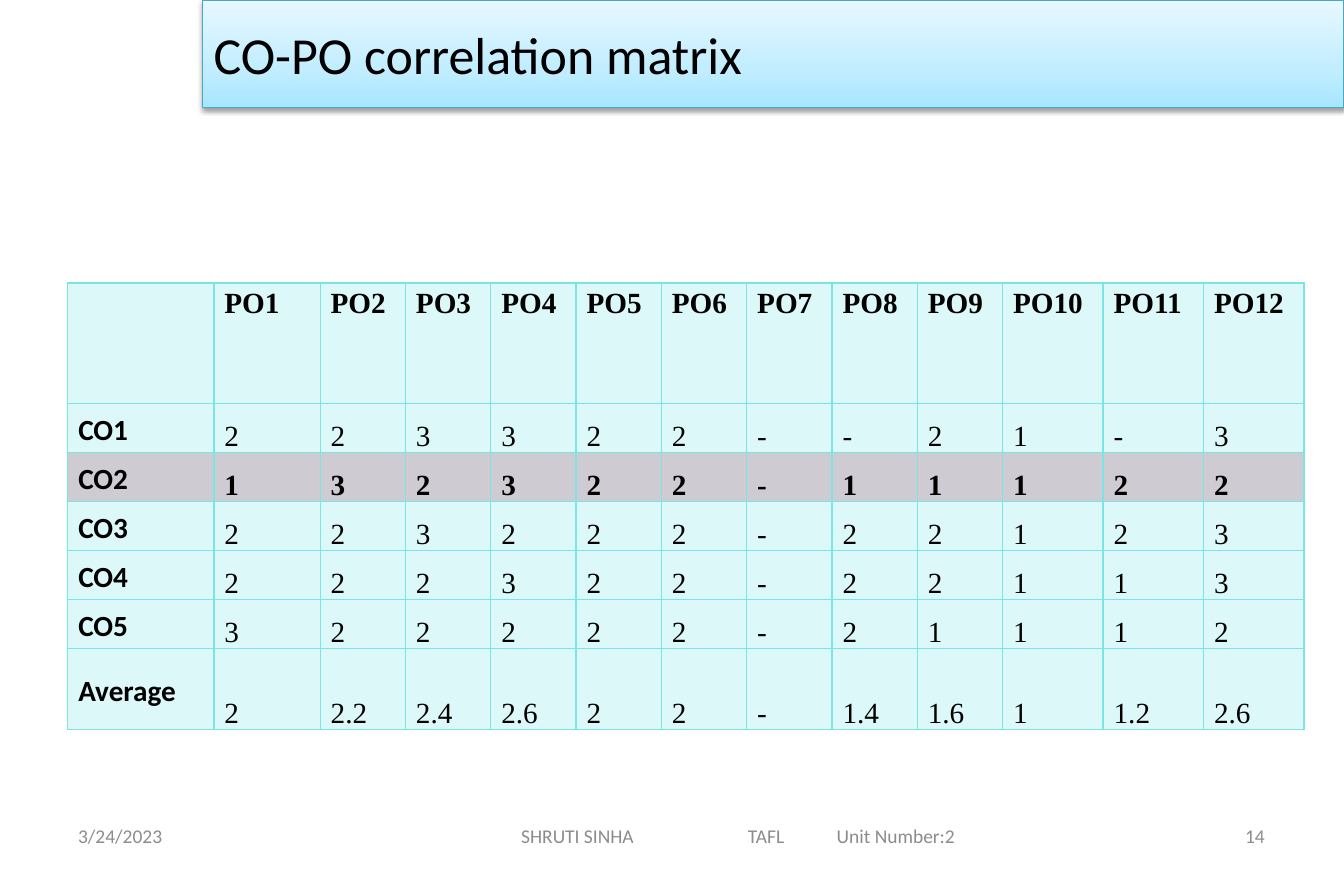
from dataclasses import dataclass

from lxml.etree import SubElement
from pptx import Presentation
from pptx.dml.color import RGBColor
from pptx.enum.shapes import MSO_SHAPE
from pptx.enum.text import MSO_ANCHOR as Anchor, PP_ALIGN as Align
from pptx.oxml.ns import qn
from pptx.util import Inches, Pt


@dataclass(frozen=True)
class Theme:
    sans: str = "Calibri"
    serif: str = "Times New Roman"
    black: str = "000000"
    grey: str = "8C8C8C"
    cell: str = "7BE5E5"
    highlight: str = "403152"
    banner_line: str = "46AAC5"
    banner_stops: tuple = ((0, "A7E6FF"), (35, "C1EDFF"), (100, "E7F8FF"))
    title_size: int = 32
    table_size: int = 18
    footer_size: int = 12


THEME = Theme()

HEADERS = [""] + [f"PO{n}" for n in range(1, 13)]
MATRIX = [
    ("CO1", "2 2 3 3 2 2 - - 2 1 - 3"),
    ("CO2", "1 3 2 3 2 2 - 1 1 1 2 2"),
    ("CO3", "2 2 3 2 2 2 - 2 2 1 2 3"),
    ("CO4", "2 2 2 3 2 2 - 2 2 1 1 3"),
    ("CO5", "3 2 2 2 2 2 - 2 1 1 1 2"),
    ("Average", "2 2.2 2.4 2.6 2 2 - 1.4 1.6 1 1.2 2.6"),
]
COL_WIDTHS = [1.25, 0.91] + [0.73] * 8 + [0.86] * 3
ROW_HEIGHTS = [1.03] + [0.42] * 5 + [0.69]


def add_run(p, text, size, color, font=THEME.sans, bold=False):
    r = p.add_run()
    r.text = text
    r.font.name = font
    r.font.size = Pt(size)
    r.font.bold = bold
    r.font.color.rgb = RGBColor.from_string(color)


def add_color(parent, color, alpha=None):
    clr = SubElement(parent, qn("a:srgbClr"), val=color)
    if alpha is not None:
        SubElement(clr, qn("a:alpha"), val=str(alpha * 1000))


def add_banner(s, x, y, w, h, title):
    sp = s.shapes.add_shape(MSO_SHAPE.RECTANGLE, Inches(x), Inches(y), Inches(w), Inches(h))
    sp.shadow.inherit = False
    sp.fill.gradient()
    sp.fill.gradient_angle = 90
    spPr = sp._element.spPr
    stops = spPr.find(".//" + qn("a:gsLst"))
    for stop in list(stops):
        stops.remove(stop)
    for pos, color in THEME.banner_stops:
        add_color(SubElement(stops, qn("a:gs"), pos=str(pos * 1000)), color)
    sp.line.color.rgb = RGBColor.from_string(THEME.banner_line)
    sp.line.width = Pt(0.75)
    shadow = SubElement(spPr.find(qn("a:effectLst")), qn("a:outerShdw"), blurRad=str(Pt(3.1)),
                        dist=str(Pt(1.6)), dir="5400000", rotWithShape="0")
    add_color(shadow, THEME.black, 38)
    tf = sp.text_frame
    tf.word_wrap = True
    tf.vertical_anchor = Anchor.MIDDLE
    p = tf.paragraphs[0]
    p.alignment = Align.LEFT
    add_run(p, title, THEME.title_size, THEME.black)


def style_cell(cell, color):
    tcPr = cell._tc.get_or_add_tcPr()
    for side in ("lnL", "lnR", "lnT", "lnB"):
        ln = SubElement(tcPr, qn(f"a:{side}"), w=str(Pt(1)))
        add_color(SubElement(ln, qn("a:solidFill")), THEME.cell)
    add_color(SubElement(tcPr, qn("a:solidFill")), color, 25)
    cell.margin_left = cell.margin_right = Inches(0.09)
    cell.margin_top = cell.margin_bottom = 0


def add_matrix(s, x, y, w, h):
    rows = [HEADERS] + [[label] + values.split() for label, values in MATRIX]
    table = s.shapes.add_table(len(rows), len(HEADERS), Inches(x), Inches(y),
                               Inches(w), Inches(h)).table
    table.first_row = table.horz_banding = False
    for col, width in zip(table.columns, COL_WIDTHS):
        col.width = Inches(width)
    for row, height in zip(table.rows, ROW_HEIGHTS):
        row.height = Inches(height)
    for i, values in enumerate(rows):
        highlighted = values[0] == "CO2"
        for j, text in enumerate(values):
            cell = table.cell(i, j)
            style_cell(cell, THEME.highlight if highlighted else THEME.cell)
            if not text:
                continue
            p = cell.text_frame.paragraphs[0]
            p.line_spacing = 1.15
            if i == 0:
                p.alignment = Align.JUSTIFY
            elif j == 0:
                cell.vertical_anchor = Anchor.MIDDLE
            else:
                cell.vertical_anchor = Anchor.BOTTOM
                p.space_after = Pt(10)
            font = THEME.sans if j == 0 else THEME.serif
            add_run(p, text, THEME.table_size, THEME.black, font,
                    i == 0 or j == 0 or highlighted)


def add_footer_text(s, x, y, w, h, text, align=Align.LEFT, inset=0.1, tabs=()):
    tf = s.shapes.add_textbox(Inches(x), Inches(y), Inches(w), Inches(h)).text_frame
    tf.word_wrap = True
    tf.vertical_anchor = Anchor.MIDDLE
    tf.margin_left = Inches(inset)
    p = tf.paragraphs[0]
    p.alignment = align
    if tabs:
        tab_list = SubElement(p._p.get_or_add_pPr(), qn("a:tabLst"))
        for pos in tabs:
            SubElement(tab_list, qn("a:tab"), pos=str(Inches(pos)), algn="l")
    add_run(p, text, THEME.footer_size, THEME.grey)


def add_footer(s, x, y, w, h):
    side = 2.68
    add_footer_text(s, x, y, side, h, "3/24/2023")
    add_footer_text(s, x + w - side, y, side, h, "14", Align.RIGHT)
    add_footer_text(s, x + 2.59, y, 6.33, h, "SHRUTI SINHA\tTAFL\tUnit Number:2",
                    inset=1.3, tabs=(1.94, 2.7))


def main():
    prs = Presentation()
    prs.slide_width, prs.slide_height = Inches(11.5), Inches(7.5)
    s = prs.slides.add_slide(prs.slide_layouts[6])
    add_footer(s, 0.57, 6.95, 10.35, 0.4)
    add_banner(s, 1.73, 0, 9.77, 0.92, "CO-PO correlation matrix")
    add_matrix(s, 0.58, 2.42, 10.54, 3.82)
    prs.save("out.pptx")


if __name__ == "__main__":
    main()
